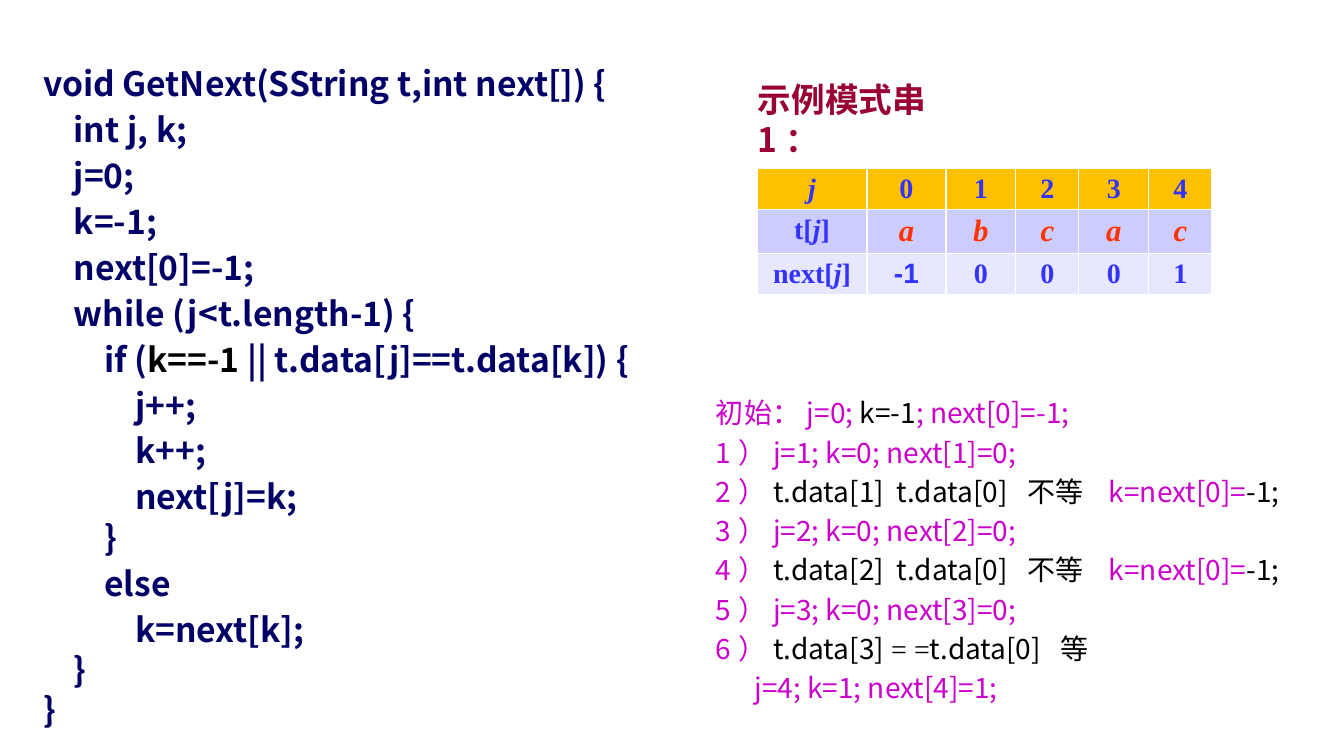
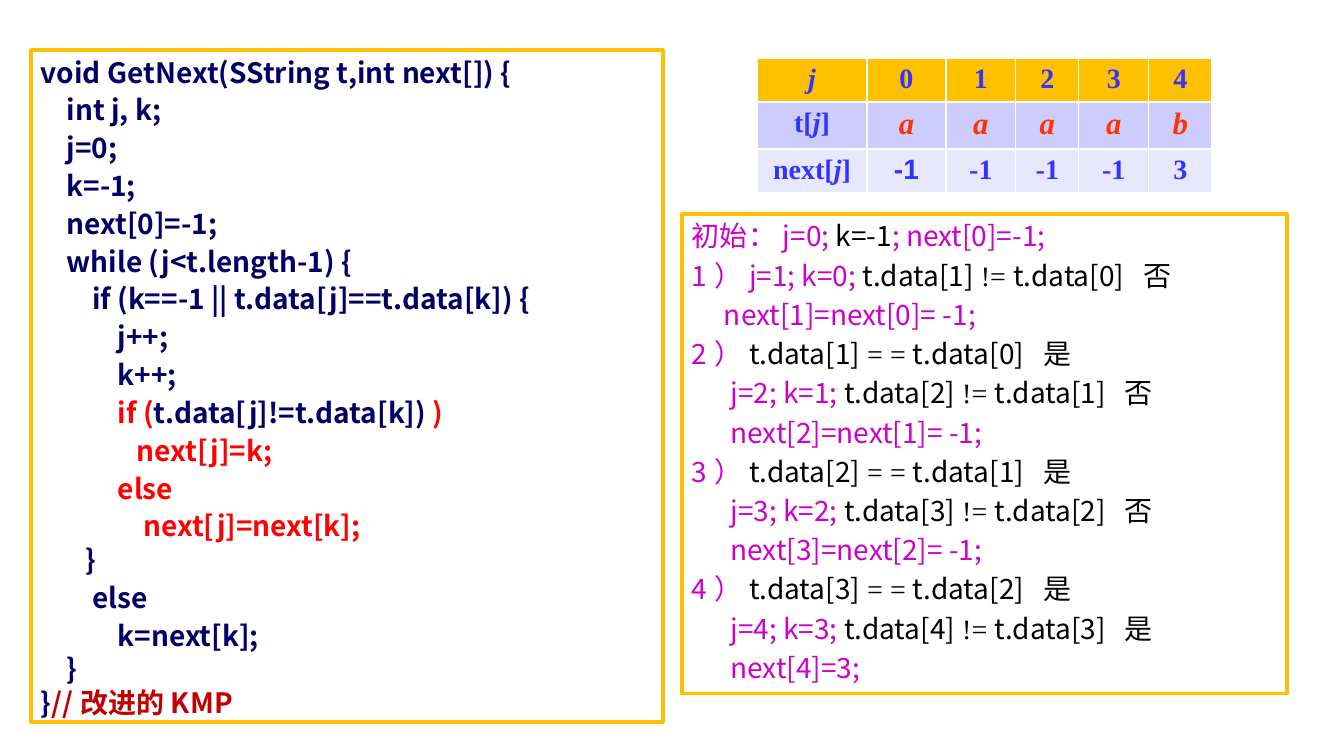
"""Build two slides that trace the next-array function of the KMP algorithm."""
from lxml import etree
from pptx import Presentation
from pptx.dml.color import RGBColor
from pptx.enum.text import MSO_ANCHOR, MSO_AUTO_SIZE, PP_ALIGN
from pptx.oxml.ns import qn
from pptx.util import Emu, Pt

TOP, MIDDLE = MSO_ANCHOR.TOP, MSO_ANCHOR.MIDDLE
LEFT, CENTER = PP_ALIGN.LEFT, PP_ALIGN.CENTER
NO_FIT = MSO_AUTO_SIZE.NONE

SANS, SERIF, ARIAL = "Noto Sans CJK SC", "Times New Roman", "Arial"
NAVY, BLACK, VIOLET, RED = "000066", "000000", "CC00CC", "FF0000"
CRIMSON, DARK_RED, GOLD = "990033", "C00000", "FFC000"
BLUE, ORANGE = "3333FF", "FF3300"
ROW_FILLS = (GOLD, "CCCCFF", "E7E7FF")
ROW_LABELS = (("", "j", ""), ("t[", "j", "]"), ("next[", "j", "]"))
COLUMNS = (110, 79, 70, 63, 70, 63)
EQUAL, UNEQUAL = (" = = ", BLACK, SERIF), (" != ", BLACK, SERIF)

OPENING = [
    (0, "void GetNext(SString t,int next[]) {"),
    (4, "int j, k;"),
    (4, "j=0;"),
    (4, "k=-1;"),
    (4, "next[0]=-1;"),
    (4, "while (j<t.length-1) {"),
]
STEPS = [(12, "j++;"), (12, "k++;")]
FALLBACK = [(8, "else"), (12, "k=next[k];"), (4, "}")]
START = [(0, "初始：j=0; ", ("k=-1", BLACK), "; next[0]=-1;")]


def mismatch(number, index):
    return (0, f"{number}）", (f"t.data[{index}]  t.data[0]  不等 ", BLACK),
            "  k=next[0]=", ("-1;", BLACK))


def compare(spaces, lead, index, operator, other, answer):
    return (spaces, lead, (f"t.data[{index}]", BLACK), operator,
            (f"t.data[{other}]  {answer}", BLACK))


BASIC_CODE = OPENING + [
    (8, "if (", ("k==-1 ", BLACK), "|| t.data[j]==t.data[k]) {"),
] + STEPS + [(12, "next[j]=k;"), (8, "}")] + FALLBACK + [(0, "}")]

IMPROVED_CODE = OPENING + [(8, "if (k==-1 || t.data[j]==t.data[k]) {")] + STEPS + [
    (12, ("if (", RED), "t.data[j]!=t.data[k]) ", (")", RED)),
    (15, ("next[j]=k;", RED)),
    (12, ("else", RED)),
    (16, ("next[j]=next[k];", RED)),
    (7, "}"),
] + FALLBACK + [(0, "}", ("//改进的KMP", DARK_RED))]

BASIC_TRACE = START + [
    (0, "1）j=1; k=0; next[1]=0;"),
    mismatch(2, 1),
    (0, "3）j=2; k=0; next[2]=0;"),
    mismatch(4, 2),
    (0, "5）j=3; k=0; next[3]=0;"),
    compare(0, "6）", 3, (" = =", BLACK, SERIF), 0, "等"),
    (6, "j=4; k=1; next[4]=1;"),
]

IMPROVED_TRACE = START + [
    compare(0, "1）j=1; k=0; ", 1, UNEQUAL, 0, "否"),
    (5, "next[1]=next[0]= -1;"),
]
for step in (2, 3, 4):
    last = step == 4
    IMPROVED_TRACE += [
        compare(0, f"{step}）", step - 1, EQUAL, step - 2, "是"),
        compare(6, f"j={step}; k={step - 1}; ", step, UNEQUAL, step - 1,
                "是" if last else "否"),
        (6, "next[4]=3;" if last else f"next[{step}]=next[{step - 1}]= -1;"),
    ]

PAGES = [
    {"heading": "示例模式串1：",
     "code": (BASIC_CODE, (33, 58, 698, 663), 24, 4),
     "trace": (BASIC_TRACE, (706, 391, 605, 322)),
     "table": (("abcac", ("-1", "0", "0", "0", "1")), 168, (41, 44, 41)),
     "outline": False},
    {"heading": None,
     "code": (IMPROVED_CODE, (31, 50, 632, 672), 20, 3),
     "trace": (IMPROVED_TRACE, (682, 214, 605, 480)),
     "table": (("aaaab", ("-1", "-1", "-1", "-1", "3")), 58, (44, 47, 44)),
     "outline": True},
]


def px(length):
    return Emu(round(length * 914400 / 100.8))


def color(value):
    return RGBColor.from_string(value)


def place(shape, left, top, width, height):
    shape.left, shape.top = px(left), px(top)
    shape.width, shape.height = px(width), px(height)


def add_span(paragraph, text, size, ink, font=SANS, bold=False, italic=False):
    span = paragraph.add_run()
    span.text = text
    span.font.size, span.font.bold, span.font.italic = Pt(size), bold, italic
    span.font.color.rgb = color(ink)
    span.font.name = font
    properties = span._r.get_or_add_rPr()
    etree.SubElement(properties, qn("a:ea"), typeface=font)


def write_lines(shape, lines, size, gap, ink, bold=False, anchor=TOP):
    frame = shape.text_frame
    frame.word_wrap, frame.auto_size = True, NO_FIT
    frame.vertical_anchor = anchor
    frame.margin_left = frame.margin_right = px(10)
    frame.margin_top = frame.margin_bottom = px(5)
    for number, (spaces, *spans) in enumerate(lines):
        paragraph = frame.add_paragraph() if number else frame.paragraphs[0]
        paragraph.alignment = LEFT
        paragraph.line_spacing = Pt(size * 1.2)
        closing = spans[0][0] == "}"
        paragraph.space_before = Pt(0 if closing else gap)
        properties = paragraph._p.get_or_add_pPr()
        properties.set("marL", str(px(spaces * size * 0.32)))
        properties.set("indent", "0")
        etree.SubElement(properties, qn("a:buNone"))
        for span in spans:
            text, *style = (span, ink) if isinstance(span, str) else span
            add_span(paragraph, text, size, *style, bold=bold)


def add_next_table(page, values, top, heights):
    pattern, following = values
    rows = ("01234", pattern, following)
    frame = page.shapes.add_table(3, 6, px(757), px(top),
                                  px(sum(COLUMNS)), px(sum(heights)))
    table = frame.table
    for column, width in zip(table.columns, COLUMNS):
        column.width = px(width)
    for index, (row, height) in enumerate(zip(table.rows, heights)):
        row.height = px(height)
        for position, cell in enumerate(row.cells):
            cell.fill.solid()
            cell.fill.fore_color.rgb = color(ROW_FILLS[index])
            paragraph = cell.text_frame.paragraphs[0]
            paragraph.alignment = CENTER
            if position == 0:
                for part in filter(None, ROW_LABELS[index]):
                    add_span(paragraph, part, 20, BLUE, SERIF, True, part == "j")
                continue
            letter = index == 1
            font = ARIAL if (index, position) == (2, 1) else SERIF
            add_span(paragraph, rows[index][position - 1], 22 if letter else 20,
                     ORANGE if letter else BLUE, font, True, letter)


def add_page(deck, content):
    page = deck.slides.add_slide(deck.slide_layouts[1])
    title, body = page.shapes.title, page.placeholders[1]
    lines, area, size, gap = content["code"]
    place(body, *area)
    write_lines(body, lines, size, gap, NAVY, bold=True)

    lines, area = content["trace"]
    trace = page.shapes.add_textbox(*map(px, area))
    write_lines(trace, lines, 20, 4, VIOLET)
    if content["outline"]:
        for shape in (body, trace):
            shape.line.color.rgb = color(GOLD)
            shape.line.width = Pt(2.25)

    add_next_table(page, *content["table"])
    if content["heading"]:
        place(title, 748, 94, 252, 50)
        write_lines(title, [(0, content["heading"])], 24, 0, CRIMSON, True, MIDDLE)
        title.text_frame.margin_right = px(50)
    else:
        title.element.getparent().remove(title.element)


def main():
    deck = Presentation()
    deck.slide_width, deck.slide_height = px(1344), px(756)
    for content in PAGES:
        add_page(deck, content)
    deck.save("out.pptx")


if __name__ == "__main__":
    main()
